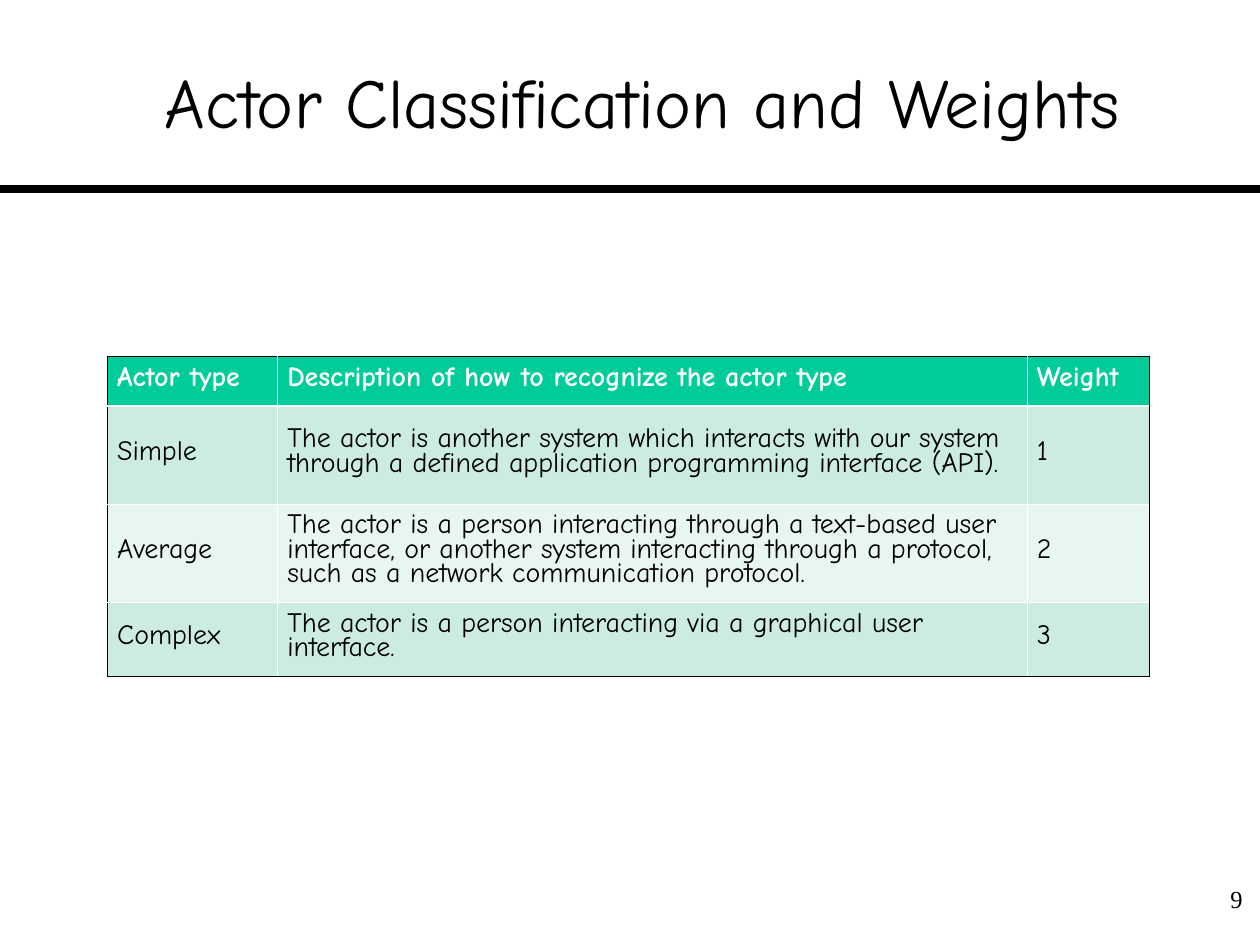
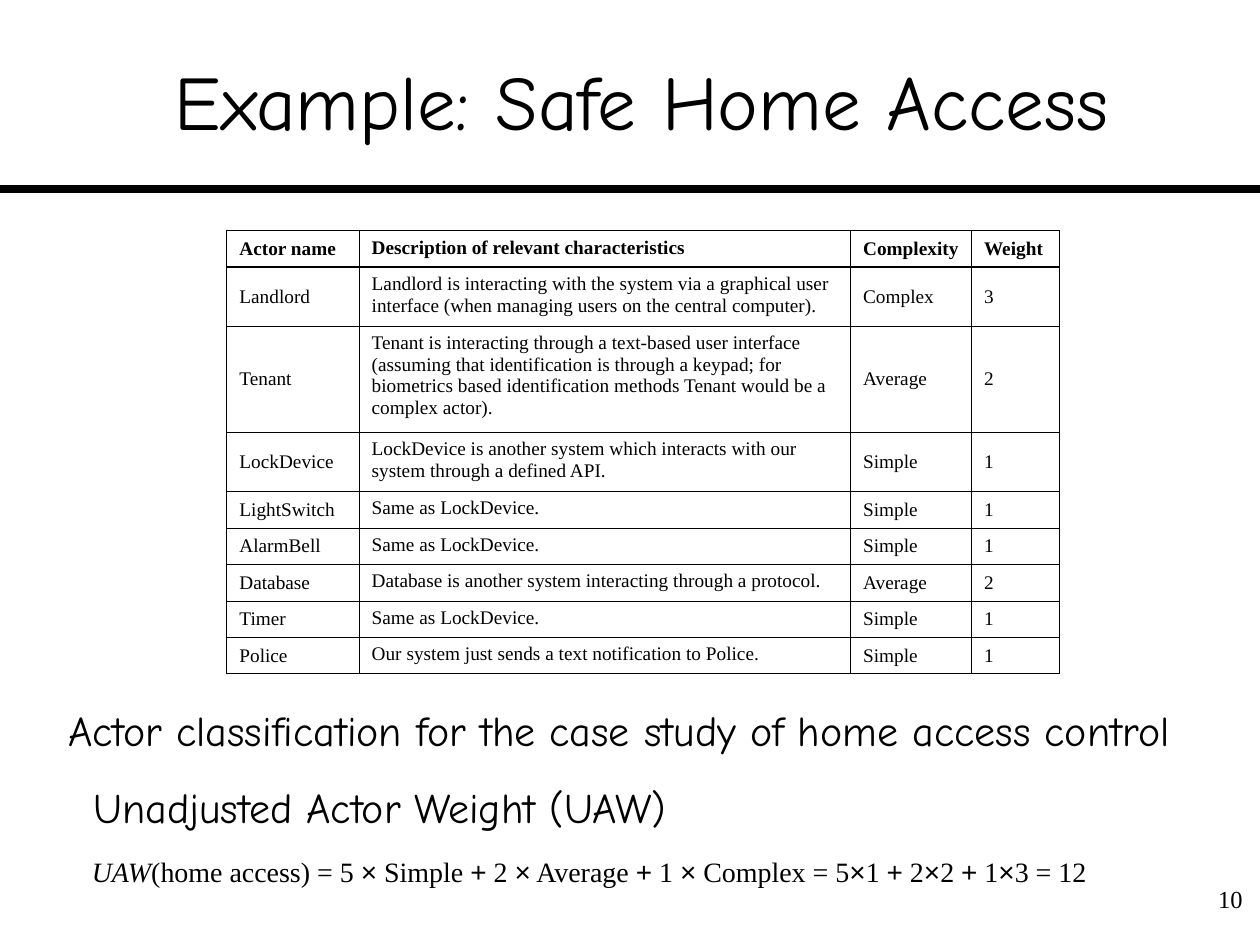
"""Builds two slides on classifying and weighting the actors of a system."""
from dataclasses import dataclass
from itertools import groupby

from lxml import etree
from pptx import Presentation
from pptx import util as u
from pptx.dml.color import RGBColor
from pptx.enum import shapes, text
from pptx.oxml import ns


@dataclass(frozen=True)
class Theme:
    """Fonts, colours and type sizes shared by the slides."""
    hand: str = "Comic Neue"
    serif: str = "Times New Roman"
    sans: str = "Arial"
    black: str = "000000"
    white: str = "FFFFFF"
    header: str = "00CC99"
    bands: tuple = ("CBECDE", "E7F6EF")
    caption: int = 24
    body: int = 16
    number: int = 14
    small: int = 11
    thin: float = 0.45


THEME = Theme()

ACTOR_TYPES = [
    ("Actor type", "Description of how to recognize the actor type", "Weight"),
    ("Simple", "The actor is another system which interacts with our system through "
     "a defined application programming interface (API).", "1"),
    ("Average", "The actor is a person interacting through a text-based user interface, "
     "or another system interacting through a protocol, such as a network "
     "communication protocol.", "2"),
    ("Complex", "The actor is a person interacting via a graphical user interface.", "3"),
]

HOME_ACTORS = [
    ("Actor name", "Description of relevant characteristics", "Complexity", "Weight"),
    ("Landlord", "Landlord is interacting with the system via a graphical user interface "
     "(when managing users on the central computer).", "Complex", "3"),
    ("Tenant", "Tenant is interacting through a text-based user interface (assuming that "
     "identification is through a keypad; for biometrics based identification methods "
     "Tenant would be a complex actor).", "Average", "2"),
    ("LockDevice", "LockDevice is another system which interacts with our system through "
     "a defined API.", "Simple", "1"),
    ("LightSwitch", "Same as LockDevice.", "Simple", "1"),
    ("AlarmBell", "Same as LockDevice.", "Simple", "1"),
    ("Database", "Database is another system interacting through a protocol.", "Average", "2"),
    ("Timer", "Same as LockDevice.", "Simple", "1"),
    ("Police", "Our system just sends a text notification to Police.", "Simple", "1"),
]


def style_font(font, name, size, color=THEME.black, bold=False, italic=False):
    """Set every font property that the slides use."""
    font.name, font.size = name, u.Pt(size)
    font.bold, font.italic = bold, italic
    font.color.rgb = RGBColor.from_string(color)


def place(shape, left, top, width, height):
    """Move and size a shape, in inches."""
    shape.left, shape.top = u.Inches(left), u.Inches(top)
    shape.width, shape.height = u.Inches(width), u.Inches(height)


def add_page(deck, title, title_size, number):
    """Add a slide with its title, heavy rule and page number."""
    page = deck.slides.add_slide(deck.slide_layouts[5])
    box = page.shapes.title
    place(box, 0.35, 0.17, 9.49, 1.25)
    box.text_frame.text = title
    box.text_frame.vertical_anchor = text.MSO_ANCHOR.MIDDLE
    para = box.text_frame.paragraphs[0]
    para.alignment = text.PP_ALIGN.CENTER
    style_font(para.runs[0].font, THEME.hand, title_size)

    rule = page.shapes.add_connector(shapes.MSO_CONNECTOR.STRAIGHT, 0, u.Inches(1.5),
                                     deck.slide_width, u.Inches(1.5))
    rule.line.width = u.Pt(4.5)
    rule.line.color.rgb = RGBColor.from_string(THEME.black)
    etree.SubElement(rule.element.spPr, ns.qn("a:effectLst"))

    box = add_box(page, 9.45, 6.97, 0.51, 0.5)
    box.text_frame.word_wrap = True
    para = box.text_frame.paragraphs[0]
    para.text = number
    para.alignment = text.PP_ALIGN.RIGHT
    style_font(para.runs[0].font, THEME.serif, THEME.number)
    return page


def add_box(page, left, top, width, height):
    """Add an empty text box, in inches."""
    return page.shapes.add_textbox(u.Inches(left), u.Inches(top),
                                   u.Inches(width), u.Inches(height))


def add_caption(page, words, left, top, width):
    """Add one unwrapped line of large text without insets."""
    box = add_box(page, left, top, width, 0.4)
    frame = box.text_frame
    frame.word_wrap = False
    frame.margin_left = frame.margin_top = frame.margin_right = frame.margin_bottom = 0
    frame.vertical_anchor = text.MSO_ANCHOR.MIDDLE
    frame.text = words
    style_font(frame.paragraphs[0].runs[0].font, THEME.hand, THEME.caption)


def add_formula(page, symbol, expression, left, top, width):
    """Add a formula with an italic symbol and sans-serif operators."""
    box = add_box(page, left, top, width, 0.37)
    box.text_frame.word_wrap = False
    para = box.text_frame.paragraphs[0]
    span = para.add_run()
    span.text = symbol
    style_font(span.font, THEME.serif, THEME.body, italic=True)
    for is_operator, letters in groupby(expression, lambda letter: letter in "×+"):
        span = para.add_run()
        span.text = "".join(letters)
        style_font(span.font, THEME.sans if is_operator else THEME.serif, THEME.body)


def add_grid(page, records, left, top, widths, heights):
    """Add a table without style effects, filled with text."""
    table = page.shapes.add_table(len(records), len(widths), u.Inches(left), u.Inches(top),
                                  u.Inches(sum(widths)), u.Inches(sum(heights))).table
    table.first_row = table.horz_banding = False
    for column, width in zip(table.columns, widths):
        column.width = u.Inches(width)
    for row, height, record in zip(table.rows, heights, records):
        row.height = u.Inches(height)
        for cell, words in zip(row.cells, record):
            cell.text_frame.text = words
            cell.vertical_anchor = text.MSO_ANCHOR.MIDDLE
    return table


def rule_grid(table, across, down):
    """Draw the lines across and down a table, each a colour and a width."""
    for i, row in enumerate(table.rows):
        for j, cell in enumerate(row.cells):
            sides = {"lnL": down[j], "lnR": down[j + 1], "lnT": across[i], "lnB": across[i + 1]}
            for tag, (color, width) in sides.items():
                properties = cell._tc.get_or_add_tcPr()
                line = etree.SubElement(properties, ns.qn("a:" + tag), w=str(u.Pt(width)))
                fill = etree.SubElement(line, ns.qn("a:solidFill"))
                etree.SubElement(fill, ns.qn("a:srgbClr"), val=color)


def add_type_table(page):
    """Add the banded table of actor types."""
    table = add_grid(page, ACTOR_TYPES, 0.85, 2.83, (1.35, 5.95, 0.97), (0.39, 0.78, 0.78, 0.59))
    outer, inner = (THEME.black, THEME.thin), (THEME.white, THEME.thin)
    rule_grid(table, [outer, (THEME.white, 1.47), inner, inner, outer],
              [outer, inner, inner, outer])
    for i, row in enumerate(table.rows):
        for cell in row.cells:
            cell.margin_left = cell.margin_right = u.Inches(0.08)
            cell.fill.solid()
            cell.fill.fore_color.rgb = RGBColor.from_string(
                THEME.bands[(i - 1) % 2] if i else THEME.header)
            para = cell.text_frame.paragraphs[0]
            para.line_spacing = u.Pt(14)
            para.space_after = u.Pt(2)
            style_font(para.runs[0].font, THEME.hand, THEME.body,
                       THEME.black if i else THEME.white, bold=i == 0)


def add_home_table(page):
    """Add the plain ruled table of home access actors."""
    heights = (0.29, 0.47, 0.84, 0.47) + (0.29,) * 5
    table = add_grid(page, HOME_ACTORS, 1.8, 1.83, (1.05, 3.9, 0.96, 0.7), heights)
    outer, hairline = (THEME.black, THEME.thin), (THEME.black, 0.06)
    rule_grid(table, [outer, (THEME.black, 0.96)] + [hairline] * 7 + [outer], [outer] * 5)
    for i, row in enumerate(table.rows):
        for j, cell in enumerate(row.cells):
            cell.fill.background()
            if j == 1:
                cell.vertical_anchor = text.MSO_ANCHOR.TOP
            style_font(cell.text_frame.paragraphs[0].runs[0].font, THEME.serif, THEME.small,
                       bold=i == 0)


def main():
    """Build and save the deck."""
    deck = Presentation()
    deck.slide_width, deck.slide_height = u.Inches(10), u.Inches(7.5)

    page = add_page(deck, "Actor Classification and Weights", 40, "9")
    add_type_table(page)

    page = add_page(deck, "Example: Safe Home Access", 44, "10")
    add_home_table(page)
    add_caption(page, "Actor classification for the case study of home access control",
                0.54, 5.59, 8.88)
    add_caption(page, "Unadjusted Actor Weight (UAW)", 0.74, 6.2, 4.61)
    add_formula(page, "UAW", "(home access) = 5 × Simple + 2 × Average + 1 × Complex"
                " = 5×1 + 2×2 + 1×3 = 12", 0.63, 6.73, 8.41)
    deck.save("out.pptx")


if __name__ == "__main__":
    main()
